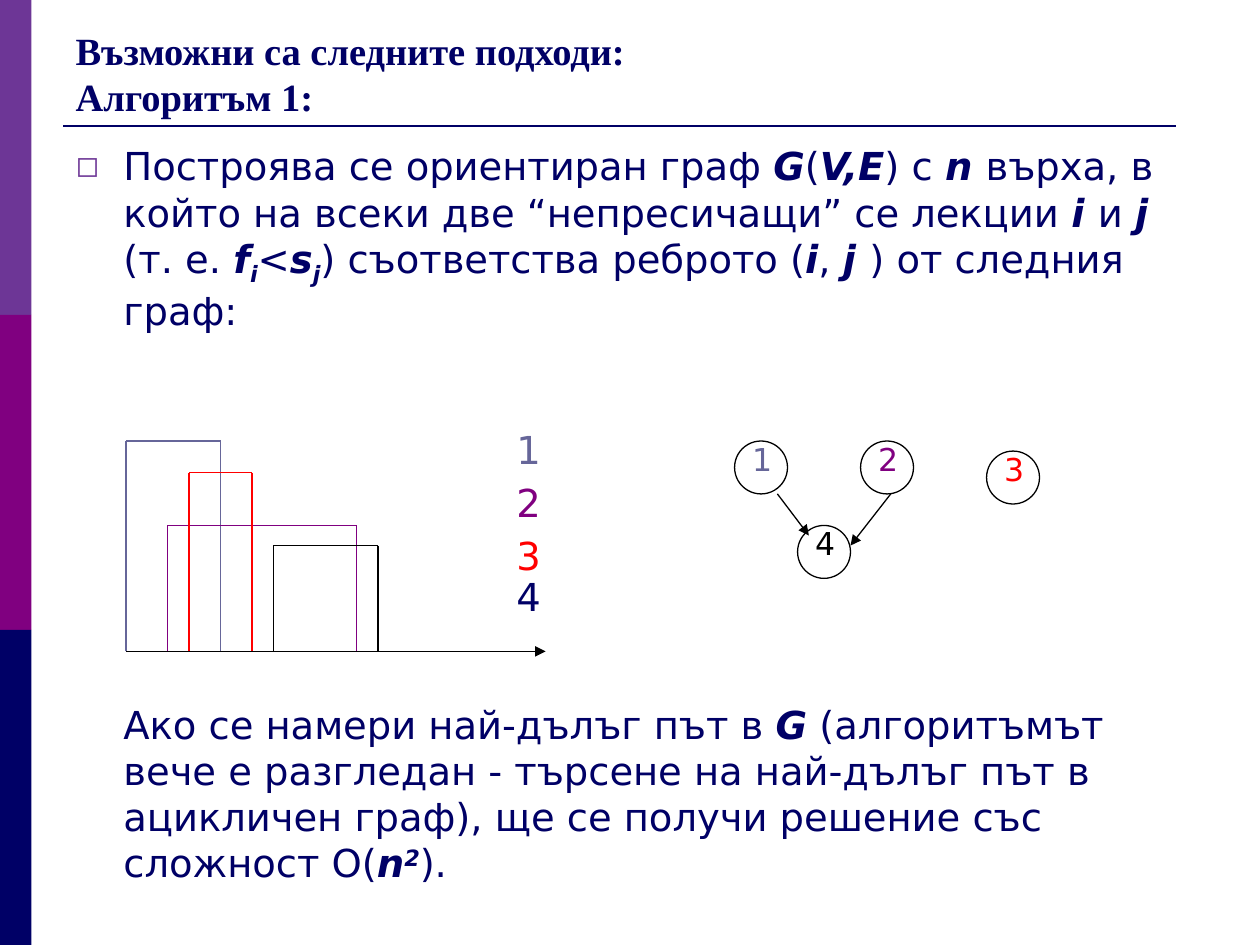
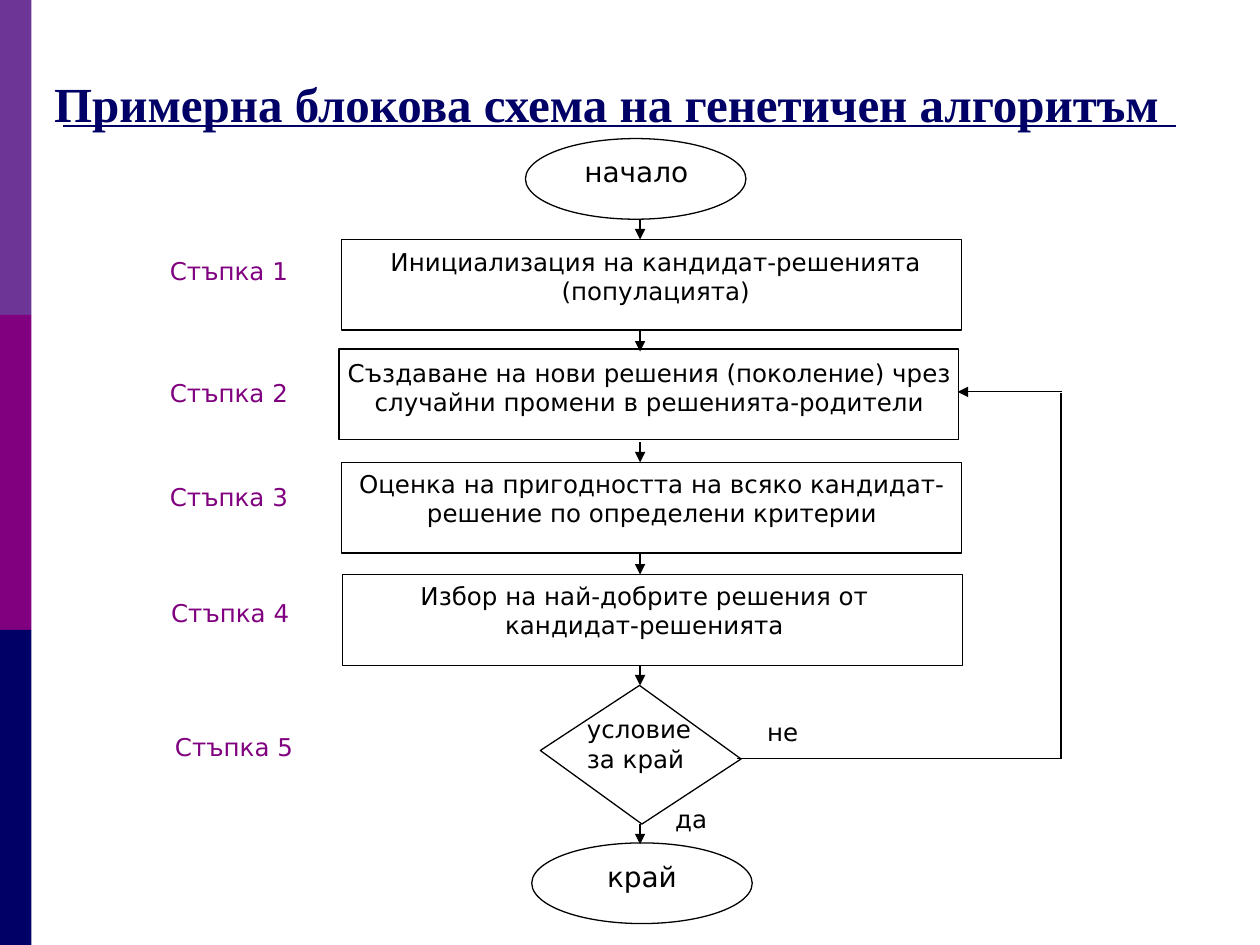
from dataclasses import dataclass
from itertools import pairwise

from lxml import etree
from pptx import Presentation
from pptx.dml.color import RGBColor
from pptx.enum import shapes, text
from pptx.oxml.ns import qn
from pptx.util import Inches, Pt


@dataclass(frozen=True)
class Theme:
    navy: RGBColor = RGBColor(0x00, 0x00, 0x66)
    violet: RGBColor = RGBColor(0x6D, 0x36, 0x96)
    purple: RGBColor = RGBColor(0x80, 0x00, 0x80)
    slate: RGBColor = RGBColor(0x66, 0x66, 0x99)
    red: RGBColor = RGBColor(0xFF, 0x00, 0x00)
    black: RGBColor = RGBColor(0x00, 0x00, 0x00)
    title_font: str = "Times New Roman"
    body_font: str = "DejaVu Sans"
    flow_title_size: int = 28
    body_size: int = 22
    node_size: int = 18
    terminal_size: int = 16
    step_size: int = 14
    thin: float = 0.75
    rule: float = 1.5


theme = Theme()


def add_line(slide, start, end, color=theme.black, width=theme.thin, arrow=False):
    connector = slide.shapes.add_connector(
        shapes.MSO_CONNECTOR.STRAIGHT, *map(Inches, (*start, *end))
    )
    connector.line.color.rgb = color
    connector.line.width = Pt(width)
    if arrow:
        line = connector.line._get_or_add_ln()
        etree.SubElement(line, qn("a:tailEnd"), type="triangle")
    etree.SubElement(connector._element.spPr, qn("a:effectLst"))


def add_label(slide, wording, box, size, color=theme.black, align=text.PP_ALIGN.LEFT):
    frame = slide.shapes.add_textbox(*map(Inches, box)).text_frame
    frame.word_wrap = True
    frame.auto_size = text.MSO_AUTO_SIZE.SHAPE_TO_FIT_TEXT
    frame.text = wording
    paragraph = frame.paragraphs[0]
    paragraph.alignment = align
    font = paragraph.runs[0].font
    font.name = theme.body_font
    font.size = Pt(size)
    font.color.rgb = color


presentation = Presentation()
presentation.slide_width = Inches(10)
presentation.slide_height = Inches(7.5)

pages = [
    (1, "Възможни са следните подходи:\vАлгоритъм 1:", (0.5, 0.3, 9, 0.7), theme.body_size),
    (5, "Примерна блокова схема на генетичен алгоритъм", (0.33, 0.4, 9.67, 0.7), theme.flow_title_size),
]
for layout, wording, box, size in pages:
    slide = presentation.slides.add_slide(presentation.slide_layouts[layout])
    for index, color in enumerate((theme.violet, theme.purple, theme.navy)):
        band = slide.shapes.add_shape(
            shapes.MSO_SHAPE.RECTANGLE, 0, Inches(2.5 * index), Inches(0.25), Inches(2.5)
        )
        band.shadow.inherit = False
        band.fill.solid()
        band.fill.fore_color.rgb = color
        band.line.fill.background()
    add_line(slide, (0.5, 1), (9.33, 1), theme.navy, theme.rule)

    title = slide.shapes.title
    title.left, title.top, title.width, title.height = map(Inches, box)
    frame = title.text_frame
    frame.text = wording
    frame.word_wrap = True
    frame.auto_size = text.MSO_AUTO_SIZE.NONE
    frame.vertical_anchor = text.MSO_ANCHOR.BOTTOM
    paragraph = frame.paragraphs[0]
    paragraph.alignment = text.PP_ALIGN.LEFT
    for run in paragraph.runs:
        run.font.name = theme.title_font
        run.font.size = Pt(size)
        run.font.bold = True
        run.font.color.rgb = theme.navy

graph_slide, flow_slide = presentation.slides
outlines = []

body = graph_slide.placeholders[1]
body.left, body.top, body.width, body.height = map(Inches, (0.5, 1.08, 9, 6))
frame = body.text_frame
frame.word_wrap = True
frame.auto_size = text.MSO_AUTO_SIZE.NONE
frame.vertical_anchor = text.MSO_ANCHOR.TOP

plain, strong, subscript, superscript = "plain", "strong", "subscript", "superscript"
baselines = {subscript: "-25000", superscript: "30000"}
graph_text = [
    ("Построява се ориентиран граф ", plain), ("G", strong), ("(", plain),
    ("V,E", strong), (") с ", plain), ("n ", strong),
    ("върха, в който на всеки две “непресичащи” се лекции ", plain),
    ("i ", strong), ("и ", plain), ("j ", strong), ("(т. е. ", plain),
    ("f", strong), ("i", subscript), ("<", plain), ("s", strong), ("j", subscript),
    (") съответства реброто (", plain), ("i", strong), (", ", plain), ("j ", strong),
    (") от следния граф:", plain),
]
complexity_text = [
    ("Ако се намери най-дълъг път в ", plain), ("G", strong),
    (" (алгоритъмът вече е разгледан - търсене на най-дълъг път в ацикличен граф), "
     "ще се получи решение със сложност О(", plain),
    ("n", strong), ("2", superscript), (").", plain),
]
bulleted = frame.paragraphs[0]
continuation = frame.add_paragraph()
for paragraph, pieces, gap in ((bulleted, graph_text, 0), (continuation, complexity_text, 210)):
    properties = paragraph._p.get_or_add_pPr()
    properties.set("marL", str(Inches(0.38)))
    properties.set("indent", str(Inches(-0.38 if paragraph is bulleted else 0)))
    if paragraph is bulleted:
        bullet_color = etree.SubElement(properties, qn("a:buClr"))
        etree.SubElement(bullet_color, qn("a:srgbClr"), val=str(theme.violet))
        etree.SubElement(properties, qn("a:buSzPct"), val="75000")
        etree.SubElement(properties, qn("a:buFont"), typeface=theme.body_font)
        etree.SubElement(properties, qn("a:buChar"), char="◻")
    else:
        etree.SubElement(properties, qn("a:buNone"))
    paragraph.space_before = Pt(gap)
    for wording, style in pieces:
        run = paragraph.add_run()
        run.text = wording
        run.font.name = theme.body_font
        run.font.size = Pt(theme.body_size)
        run.font.color.rgb = theme.navy
        run.font.bold = run.font.italic = style != plain
        if style in baselines:
            run._r.get_or_add_rPr().set("baseline", baselines[style])

axis = 5.17
add_line(graph_slide, (1, axis), (4.33, axis), arrow=True)
lectures = [
    (1, 1.75, 3.5, theme.slate, 3.33, theme.slate),
    (1.33, 2.83, 4.17, theme.purple, 3.75, theme.purple),
    (1.5, 2, 3.75, theme.red, 4.17, theme.red),
    (2.17, 3, 4.33, theme.black, 4.5, theme.navy),
]
for number, (begin, finish, top, color, label_top, label_color) in enumerate(lectures, 1):
    corners = [(begin, axis), (begin, top), (finish, top), (finish, axis)]
    for start, end in pairwise(corners):
        add_line(graph_slide, start, end, color)
    add_label(graph_slide, str(number), (4, label_top, 0.33, 0.47), theme.body_size, label_color)

nodes = [
    (5.83, 3.5, theme.slate),
    (6.83, 3.5, theme.purple),
    (7.83, 3.58, theme.red),
    (6.33, 4.17, theme.black),
]
for number, (left, top, color) in enumerate(nodes, 1):
    outlines.append((graph_slide, shapes.MSO_SHAPE.OVAL, (left, top, 0.42, 0.42)))
    add_label(graph_slide, str(number), (left + 0.04, top - 0.06, 0.42, 0.4), theme.node_size, color)
add_line(graph_slide, (6.17, 3.92), (6.42, 4.25), arrow=True)
add_line(graph_slide, (7.07, 3.92), (6.75, 4.33), arrow=True)

terminals = [("начало", 4.17, 1.1, 4.54), ("край", 4.22, 6.69, 4.72)]
for wording, left, top, label_left in terminals:
    outlines.append((flow_slide, shapes.MSO_SHAPE.OVAL, (left, top, 1.75, 0.64)))
    add_label(flow_slide, wording, (label_left, top + 0.08, 1.17, 0.37), theme.terminal_size)

steps = [
    ("Инициализация на кандидат-решенията (популацията)", 2.71, 1.9, (2.83, 1.91, 4.75, 0.57)),
    ("Създаване на нови решения (поколение) чрез случайни промени в решенията-родители",
     2.69, 2.77, (2.53, 2.79, 5.25, 0.57)),
    ("Оценка на пригодността на всяко кандидат-решение по определени критерии",
     2.71, 3.67, (2.69, 3.67, 4.97, 0.57)),
    ("Избор на най-добрите решения от кандидат-решенията", 2.72, 4.56, (2.74, 4.56, 4.75, 0.57)),
]
for wording, left, top, box in steps:
    outlines.append((flow_slide, shapes.MSO_SHAPE.RECTANGLE, (left, top, 4.92, 0.72)))
    add_label(flow_slide, wording, box, theme.step_size, align=text.PP_ALIGN.CENTER)

step_labels = [(1.25, 1.98), (1.25, 2.95), (1.25, 3.78), (1.26, 4.7), (1.29, 5.76)]
for number, (left, top) in enumerate(step_labels, 1):
    add_label(flow_slide, f"Стъпка {number}", (left, top, 1.17, 0.34), theme.step_size, theme.purple)

outlines.append((flow_slide, shapes.MSO_SHAPE.PARALLELOGRAM, (4.42, 5.55, 1.33, 0.88)))
add_label(flow_slide, "условие за край", (4.56, 5.62, 1.14, 0.57), theme.step_size)
add_label(flow_slide, "не", (5.99, 5.64, 0.75, 0.34), theme.step_size)
add_label(flow_slide, "да", (5.26, 6.33, 0.75, 0.34), theme.step_size)

for top in (1.74, 2.63, 3.51, 4.4, 5.28, 6.54):
    add_line(flow_slide, (5.08, top), (5.08, top + 0.16), arrow=True)
add_line(flow_slide, (5.85, 6.02), (8.43, 6.02))
add_line(flow_slide, (8.42, 6.02), (8.42, 3.12))
add_line(flow_slide, (8.43, 3.11), (7.6, 3.11), arrow=True)

for slide, kind, box in outlines:
    shape = slide.shapes.add_shape(kind, *map(Inches, box))
    shape.shadow.inherit = False
    shape.fill.background()
    shape.line.color.rgb = theme.black
    shape.line.width = Pt(theme.thin)
    if kind == shapes.MSO_SHAPE.PARALLELOGRAM:
        shape.adjustments[0] = 0.38
        shape.rotation = 35.9

presentation.save("out.pptx")
